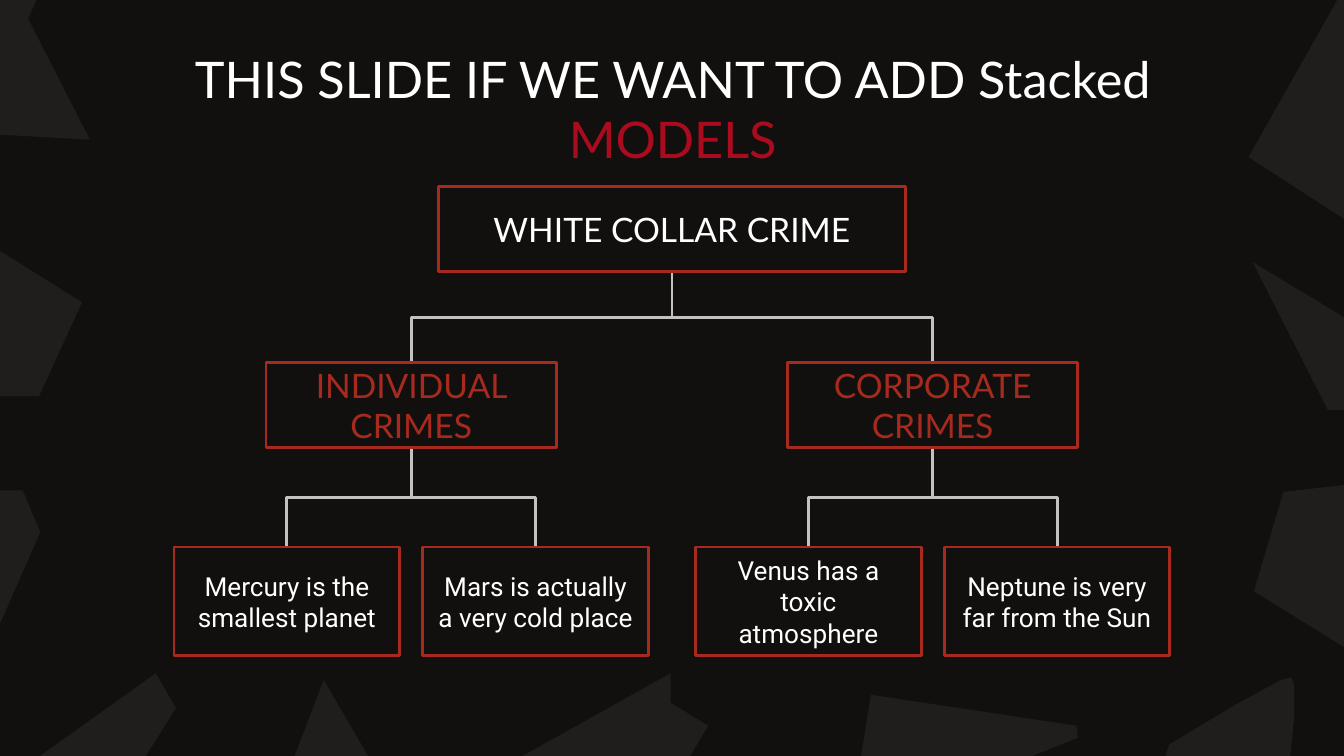
from dataclasses import dataclass

import pptx
import pptx.dml.color
import pptx.enum.shapes
import pptx.enum.text
import pptx.oxml.ns
import pptx.util
from lxml import etree

Inches = pptx.util.Inches
Pt = pptx.util.Pt
RGBColor = pptx.dml.color.RGBColor

BLACK = RGBColor(0x12, 0x10, 0x0E)
SHARD = RGBColor(0x20, 0x1E, 0x1D)
WHITE = RGBColor(0xFF, 0xFF, 0xFF)
CRIMSON = RGBColor(0xAA, 0x0B, 0x1E)
RED = RGBColor(0xA7, 0x2A, 0x1E)
GREY = RGBColor(0xC2, 0xC2, 0xC2)

SHARDS = [
    [(-0.14, 2.95), (0.29, 2.95), (0.61, 2.25), (-0.14, 1.78)],
    [(0.67, 1.04), (0.21, 0.14), (0.33, -0.13), (-0.39, -0.13), (-0.39, 0.98)],
    [(10.42, 1.9), (10.42, -0.25), (10.12, -0.3), (9.29, 1.17)],
    [(10.28, 3.05), (10.28, 2.53), (9.32, 1.95), (9.88, 3.05)],
    [(10.01, 4.82), (10.27, 4.68), (10.27, 3.86), (10.17, 3.59), (9.55, 3.66), (9.33, 4.4)],
    [(9.6, 5.63), (9.63, 5.34), (9.63, 5.1), (9.61, 5.04), (9.53, 5.06), (9.2, 5.24),
     (8.7, 5.54), (8.67, 5.63)],
    [(8.02, 5.49), (8.01, 5.4), (6.48, 5.17), (6.32, 6.17)],
    [(4.75, 6.27), (5.27, 5.4), (4.99, 5.23), (4.99, 5.01), (3.81, 5.67), (3.8, 6.27)],
    [(2.94, 5.97), (2.41, 5.06), (2.06, 5.97)],
    [(0.95, 5.84), (1.31, 5.27), (1.16, 5.01), (0.25, 5.66), (0.25, 5.84)],
    [(-0.03, 4.71), (0.3, 3.96), (0.17, 3.65), (-0.03, 3.65)],
]


@dataclass(frozen=True)
class Level:
    top: float
    width: float
    height: float
    size: float
    font: str
    color: RGBColor

    @property
    def bottom(self) -> float:
        return self.top + self.height


@dataclass(frozen=True)
class Node:
    text: str
    center: float
    children: tuple = ()


LEVELS = [
    Level(1.39, 3.48, 0.63, 18, "Lato", WHITE),
    Level(2.7, 2.16, 0.63, 18, "Lato", RED),
    Level(4.07, 1.68, 0.81, 14, "Roboto", WHITE),
]
CENTER = 5
BRANCH_GAP = 3.88
LEAF_GAP = 1.85


def branch(text: str, center: float, left_text: str, right_text: str) -> Node:
    return Node(text, center, (Node(left_text, center - LEAF_GAP / 2),
                               Node(right_text, center + LEAF_GAP / 2)))


TREE = Node("WHITE COLLAR CRIME", CENTER, (
    branch("INDIVIDUAL CRIMES", CENTER - BRANCH_GAP / 2,
           "Mercury is the smallest planet", "Mars is actually a very cold place"),
    branch("CORPORATE CRIMES", CENTER + BRANCH_GAP / 2,
           "Venus has a toxic atmosphere", "Neptune is very far from the Sun"),
))


def add_run(p, text: str, *, size: float, font: str, color: RGBColor) -> None:
    r = p.add_run()
    r.text = text
    r.font.size = Pt(size)
    r.font.name = font
    r.font.color.rgb = color


def centered_paragraph(tf):
    """Set up a wrapping, middle-anchored frame and return its first paragraph."""
    tf.word_wrap = True
    tf.auto_size = pptx.enum.text.MSO_AUTO_SIZE.NONE
    tf.vertical_anchor = pptx.enum.text.MSO_ANCHOR.MIDDLE
    tf.margin_left = tf.margin_right = tf.margin_top = tf.margin_bottom = Inches(0.1)
    p = tf.paragraphs[0]
    p.alignment = pptx.enum.text.PP_ALIGN.CENTER
    return p


def add_shard(slide, points: list) -> None:
    start, *rest = [(Inches(x), Inches(y)) for x, y in points]
    builder = slide.shapes.build_freeform(*start)
    builder.add_line_segments(rest, close=True)
    sp = builder.convert_to_shape()
    sp.shadow.inherit = False
    sp.fill.solid()
    sp.fill.fore_color.rgb = SHARD
    sp.line.fill.background()


def add_elbow(slide, x1: float, y1: float, x2: float, y2: float) -> None:
    """Draw a down-across-down connector: an elbow turned by a quarter."""
    mid_x, mid_y = (x1 + x2) / 2, (y1 + y2) / 2
    half_w, half_h = abs(x2 - x1) / 2, (y2 - y1) / 2
    side = 1 if x2 > x1 else -1
    c = slide.shapes.add_connector(
        pptx.enum.shapes.MSO_CONNECTOR.ELBOW,
        Inches(mid_x + side * half_h), Inches(mid_y - half_w),
        Inches(mid_x - side * half_h), Inches(mid_y + half_w))
    c.line.color.rgb = GREY
    c.line.width = Pt(1.5)
    sp_pr = c._element.spPr
    sp_pr.xfrm.set("rot", str((270 if side > 0 else 90) * 60000))
    etree.SubElement(sp_pr, pptx.oxml.ns.qn("a:effectLst"))


def add_box(slide, node: Node, level: Level) -> None:
    sp = slide.shapes.add_shape(
        pptx.enum.shapes.MSO_SHAPE.RECTANGLE,
        Inches(node.center - level.width / 2), Inches(level.top),
        Inches(level.width), Inches(level.height))
    sp.shadow.inherit = False
    sp.fill.background()
    sp.line.color.rgb = RED
    sp.line.width = Pt(1.5)
    etree.SubElement(sp.line._get_or_add_ln(), pptx.oxml.ns.qn("a:round"))
    add_run(centered_paragraph(sp.text_frame), node.text,
            size=level.size, font=level.font, color=level.color)


def add_tree(slide, node: Node, depth: int = 0) -> None:
    level = LEVELS[depth]
    for child in node.children:
        add_elbow(slide, node.center, level.bottom, child.center, LEVELS[depth + 1].top)
        add_tree(slide, child, depth + 1)
    add_box(slide, node, level)


def add_title(slide) -> None:
    title = slide.shapes.title
    title.left, title.top = Inches(0.79), Inches(0.49)
    title.width, title.height = Inches(8.43), Inches(0.63)
    p = centered_paragraph(title.text_frame)
    add_run(p, "THIS SLIDE IF WE WANT TO ADD Stacked ", size=27, font="Lato", color=WHITE)
    add_run(p, "MODELS", size=27, font="Lato", color=CRIMSON)


def main() -> None:
    prs = pptx.Presentation()
    prs.slide_width = Inches(10)
    prs.slide_height = prs.slide_width * 9 // 16
    slide = prs.slides.add_slide(prs.slide_layouts[5])
    slide.background.fill.solid()
    slide.background.fill.fore_color.rgb = BLACK
    for points in SHARDS:
        add_shard(slide, points)
    add_title(slide)
    add_tree(slide, TREE)
    prs.save("out.pptx")


if __name__ == "__main__":
    main()
